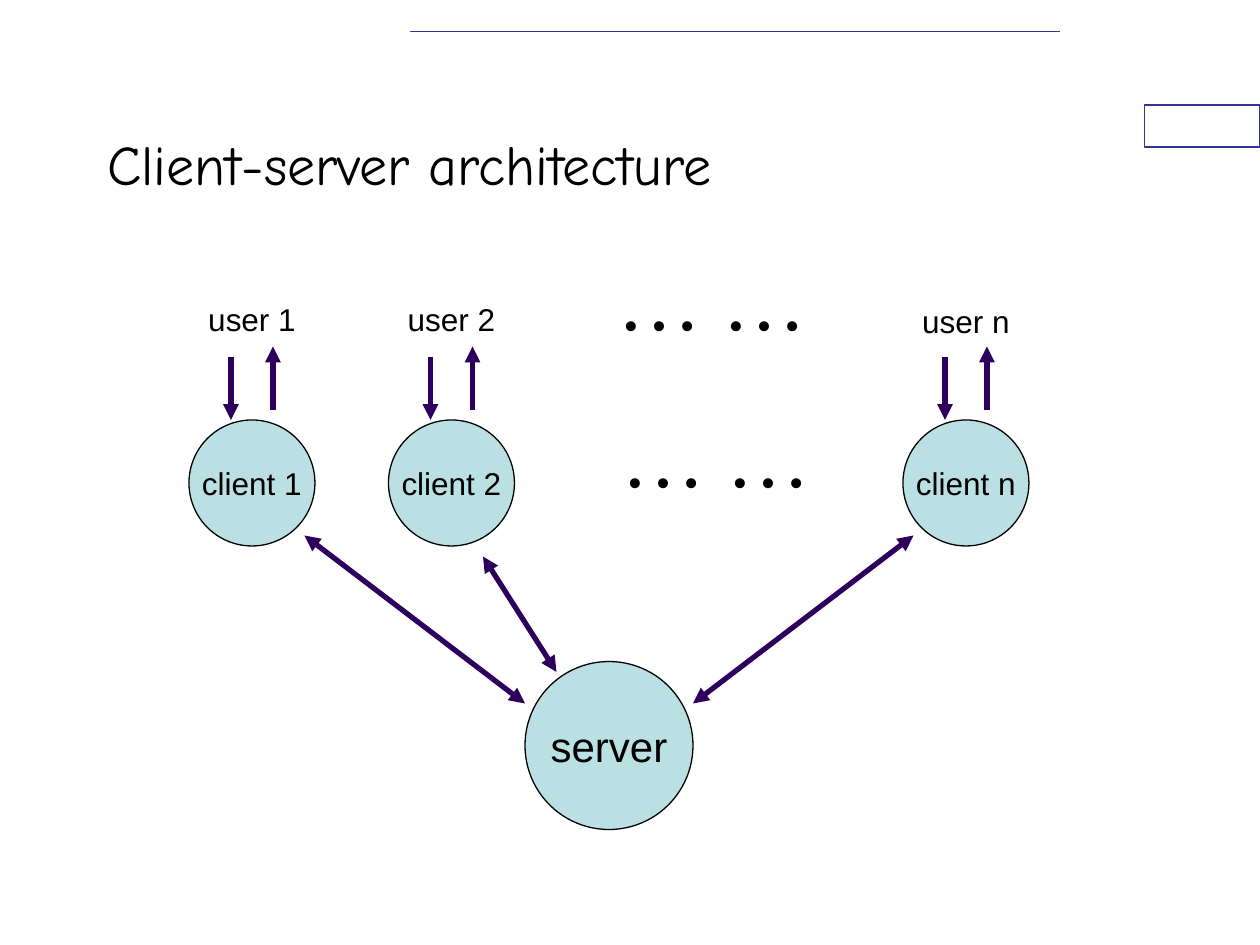
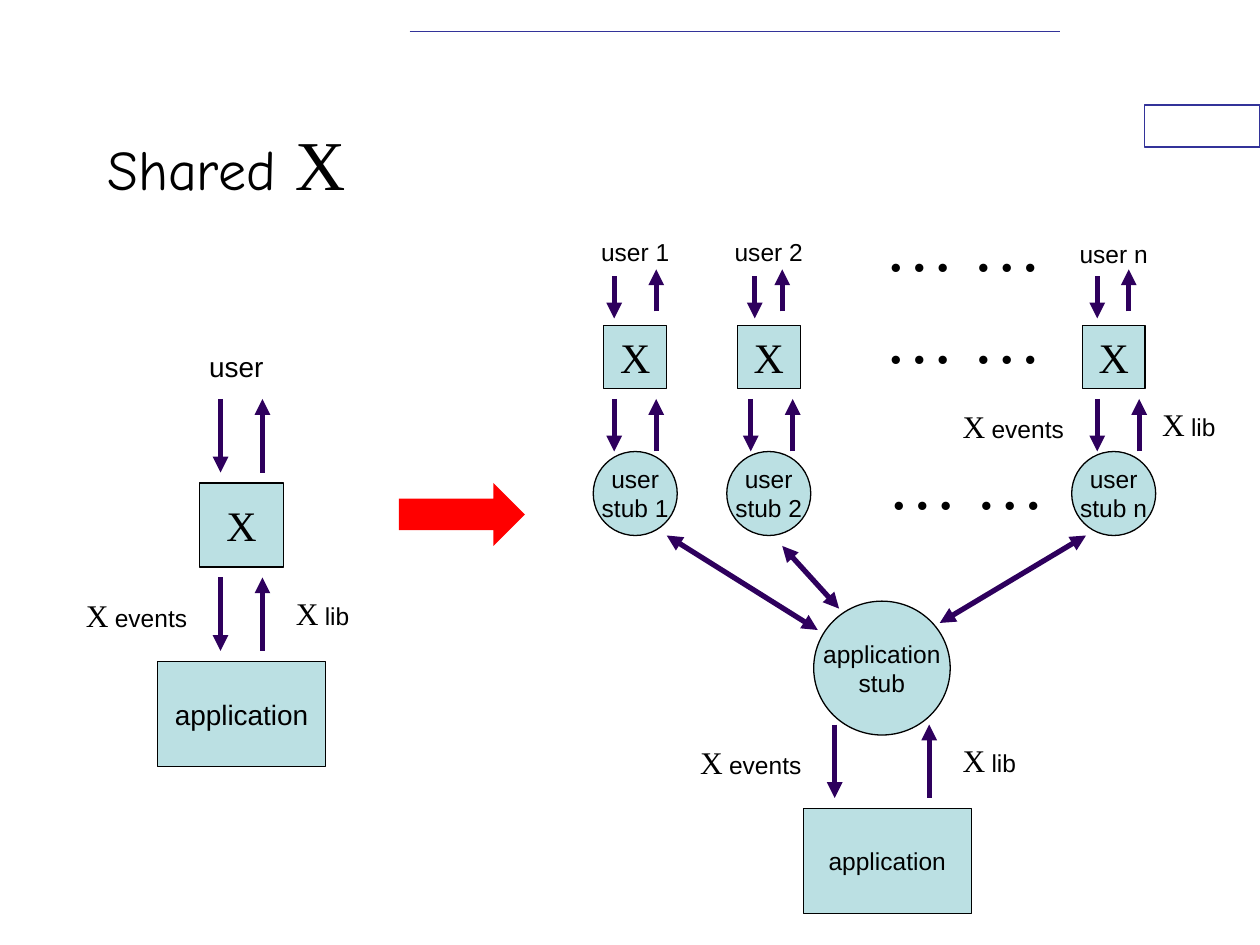
import pptx
import pptx.dml.color
import pptx.enum.shapes
import pptx.enum.text
import pptx.oxml
import pptx.oxml.ns
import pptx.util

Pt = pptx.util.Pt
RGBColor = pptx.dml.color.RGBColor
SHAPES = pptx.enum.shapes.MSO_SHAPE
ALIGN = pptx.enum.text.PP_ALIGN
ANCHOR = pptx.enum.text.MSO_ANCHOR
AUTO_SIZE = pptx.enum.text.MSO_AUTO_SIZE

# Shared style
BLACK = RGBColor(0x00, 0x00, 0x00)
WHITE = RGBColor(0xFF, 0xFF, 0xFF)
NODE_FILL = RGBColor(0xBB, 0xE0, 0xE3)
ARROW = RGBColor(0x2E, 0x00, 0x5D)
BAND = RGBColor(0x33, 0x33, 0x99)
RED = RGBColor(0xFF, 0x00, 0x00)
SANS, SERIF, HAND = "Arial", "Times New Roman", "Comic Neue"

TITLE_BOX = (54, 48, 540, 90)
BAND_BOX = (654, 60, 66, 24)
BAND_LINE = ((234, 18), (606, 18))
DOTS = "… …"

# Slide 1: column centre, names, top of the user label
CLIENT_TITLE = [("Client-server architecture", HAND, 32)]
CLIENTS = [
    (144, "user 1", "client 1", 168),
    (258, "user 2", "client 2", 168),
    (552, "user n", "client n", 169),
]
CLIENT_LINKS = [
    ((396, 402), (522, 306)),
    ((300, 402), (174, 306)),
    ((318, 384), (276, 318)),
]
CLIENT_DOTS = [(348, 252), (345.6, 162.3)]

# Slide 2: column centre, names, top of the user label,
# then x of the (down, up) arrows above and below the X box
SHARED_TITLE = [("Shared ", HAND, 32), ("X", SERIF, 40)]
STUBS = [
    (363, "user 1", "user\vstub 1", 132, (351, 375), (351, 375)),
    (439.3, "user 2", "user\vstub 2", 132, (431.3, 447), (429, 453)),
    (636.4, "user n", "user\vstub n", 133, (627, 645), (627, 651)),
]
STUB_LINKS = [
    ((537, 356), (620.6, 306)),
    ((467.3, 360), (381, 306)),
    ((479.5, 347.8), (447, 312)),
]
STUB_DOTS = [(500, 268.6), (498.3, 185), (498.3, 132.3)]
X_LABELS = {
    "events": (74, [(543, 229), (393, 421), (42, 337)]),
    "lib": (47, [(657, 228), (543, 420), (162, 336)]),
}


def points(values):
    return [Pt(value) for value in values]


def centred(centre, top, width, height=None):
    return centre - width / 2, top, width, height or width


def add_runs(paragraph, pieces):
    for text, font, size in pieces:
        run = paragraph.add_run()
        run.text = text
        run.font.name, run.font.size = font, Pt(size)
        run.font.color.rgb = BLACK


def write(frame, text, size, font=SANS, align=ALIGN.CENTER, spacing=None):
    frame.text = text
    for paragraph in frame.paragraphs:
        paragraph.alignment = align
        paragraph.line_spacing = spacing
        paragraph.font.name, paragraph.font.size = font, Pt(size)
        paragraph.font.color.rgb = BLACK


def add_block(slide, kind, box, fill, line=None):
    block = slide.shapes.add_shape(kind, *points(box))
    block.shadow.inherit = False
    block.fill.solid()
    block.fill.fore_color.rgb = fill
    if line is None:
        block.line.fill.background()
    else:
        block.line.color.rgb = line
        block.line.width = Pt(0.75)
    return block


def add_node(slide, kind, box, text, size, font=SANS):
    frame = add_block(slide, kind, box, NODE_FILL, BLACK).text_frame
    frame.word_wrap = False
    frame.vertical_anchor = ANCHOR.MIDDLE
    write(frame, text, size, font)


def add_label(slide, box):
    frame = slide.shapes.add_textbox(*points(box)).text_frame
    frame.word_wrap = False
    frame.auto_size = AUTO_SIZE.SHAPE_TO_FIT_TEXT
    return frame


def add_dots(slide, places, width, height, size):
    for left, top in places:
        frame = add_label(slide, (left, top, width, height))
        write(frame, DOTS, size, SERIF, ALIGN.LEFT, 0.5)


def add_line(slide, start, end, color=ARROW, width=3, heads=("tailEnd",)):
    connector = slide.shapes.add_connector(
        pptx.enum.shapes.MSO_CONNECTOR.STRAIGHT, *points(start + end))
    connector.line.color.rgb = color
    connector.line.width = Pt(width)
    namespace = pptx.oxml.ns.nsdecls("a")
    properties = connector.element.spPr
    stroke = properties.find(pptx.oxml.ns.qn("a:ln"))
    for head in heads:
        stroke.append(pptx.oxml.parse_xml(
            f'<a:{head} {namespace} type="triangle"/>'))
    properties.append(pptx.oxml.parse_xml(f'<a:effectLst {namespace}/>'))


def add_exchange(slide, down_x, up_x, down, up):
    """One arrow down and one arrow up, each with its start and end y."""
    for x, (start, end) in ((down_x, down), (up_x, up)):
        add_line(slide, (x, start), (x, end))


def add_links(slide, links):
    for start, end in links:
        add_line(slide, start, end, heads=("headEnd", "tailEnd"))


def add_titled_slide(deck, pieces):
    """A slide with the shared band, rule and title."""
    slide = deck.slides.add_slide(deck.slide_layouts[5])
    add_block(slide, SHAPES.RECTANGLE, BAND_BOX, WHITE, BAND)
    add_line(slide, *BAND_LINE, color=BAND, width=1, heads=())
    title = slide.shapes.title
    title.left, title.top, title.width, title.height = points(TITLE_BOX)
    frame = title.text_frame
    frame.vertical_anchor = ANCHOR.MIDDLE
    frame.auto_size = AUTO_SIZE.NONE
    frame.paragraphs[0].alignment = ALIGN.LEFT
    add_runs(frame.paragraphs[0], pieces)
    return slide


def build_client_server(deck):
    slide = add_titled_slide(deck, CLIENT_TITLE)
    for centre, user, client, top in CLIENTS:
        add_node(slide, SHAPES.OVAL, centred(centre, 240, 72), client, 18)
        write(add_label(slide, centred(centre, top, 68, 29)), user, 18)
        add_exchange(slide, centre - 12, centre + 12, (204, 240), (234, 198))
    add_node(slide, SHAPES.OVAL, (300, 378, 96, 96), "server", 24)
    add_links(slide, CLIENT_LINKS)
    add_dots(slide, CLIENT_DOTS, 122.4, 36, 48)


def build_shared_x(deck):
    slide = add_titled_slide(deck, SHARED_TITLE)

    # Shared by many users
    for centre, user, stub, top, above, below in STUBS:
        write(add_label(slide, centred(centre, top, 56, 24.5)), user, 14)
        add_exchange(slide, *above, (158, 182), (178, 154))
        add_node(slide, SHAPES.RECTANGLE, centred(centre, 186, 36), "X", 24, SERIF)
        add_exchange(slide, *below, (228, 258), (258, 228))
        add_node(slide, SHAPES.OVAL, centred(centre, 258, 48), stub, 14)
    add_node(slide, SHAPES.OVAL, (465, 343.5, 78, 76.5), "application\nstub", 14)
    add_links(slide, STUB_LINKS)
    add_exchange(slide, 477, 531, (414, 456), (456, 414))
    add_node(slide, SHAPES.RECTANGLE, (459, 462, 96, 60), "application", 14)
    add_dots(slide, STUB_DOTS, 104.4, 31.7, 40)

    # Single user
    write(add_label(slide, centred(135, 196, 48, 26.6)), "user", 16)
    add_exchange(slide, 126, 150, (228, 270), (270, 228))
    add_node(slide, SHAPES.RECTANGLE, (114, 276, 48, 48), "X", 24, SERIF)
    add_exchange(slide, 126, 150, (330, 372), (372, 330))
    add_node(slide, SHAPES.RECTANGLE, (90, 378, 96, 60), "application", 16)

    # Labels beside the arrows, and the step from single to shared
    for word, (width, places) in X_LABELS.items():
        for left, top in places:
            frame = add_label(slide, (left, top, width, 29))
            add_runs(frame.paragraphs[0],
                     [("X", SERIF, 18), (" ", SERIF, 14), (word, SANS, 14)])
    add_block(slide, SHAPES.RIGHT_ARROW, (228, 276, 72, 36), RED)


def main():
    deck = pptx.Presentation()
    deck.slide_width, deck.slide_height = Pt(720), Pt(540)
    build_client_server(deck)
    build_shared_x(deck)
    deck.save("out.pptx")


if __name__ == "__main__":
    main()
